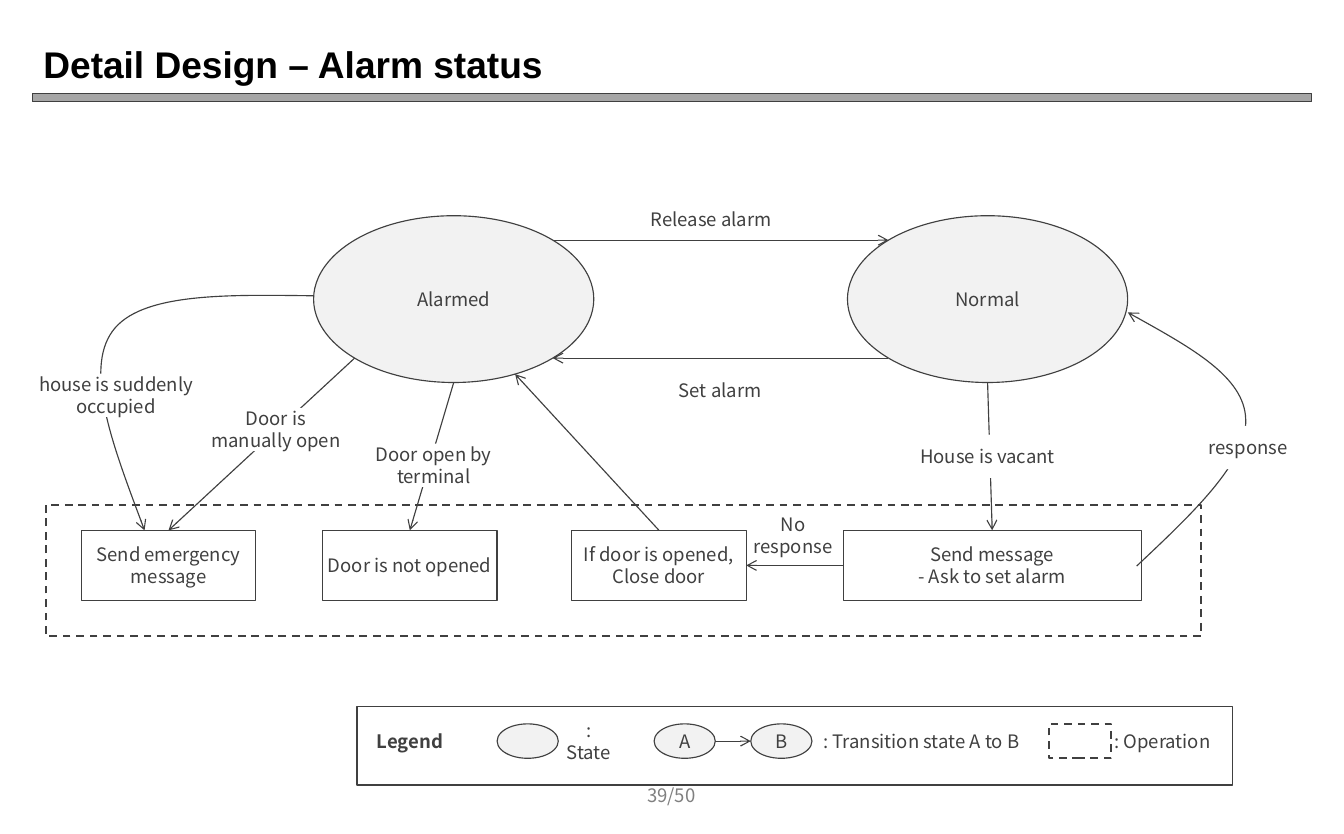
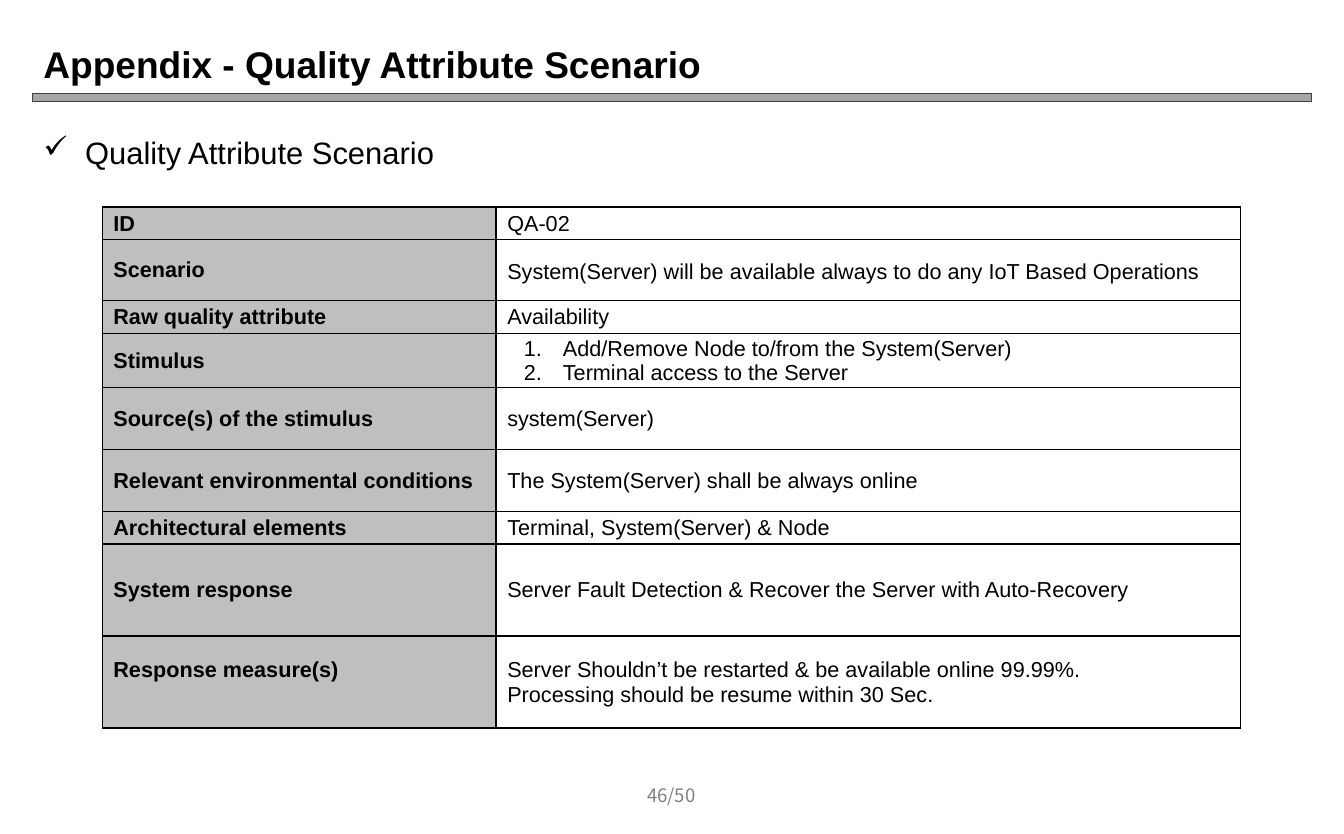
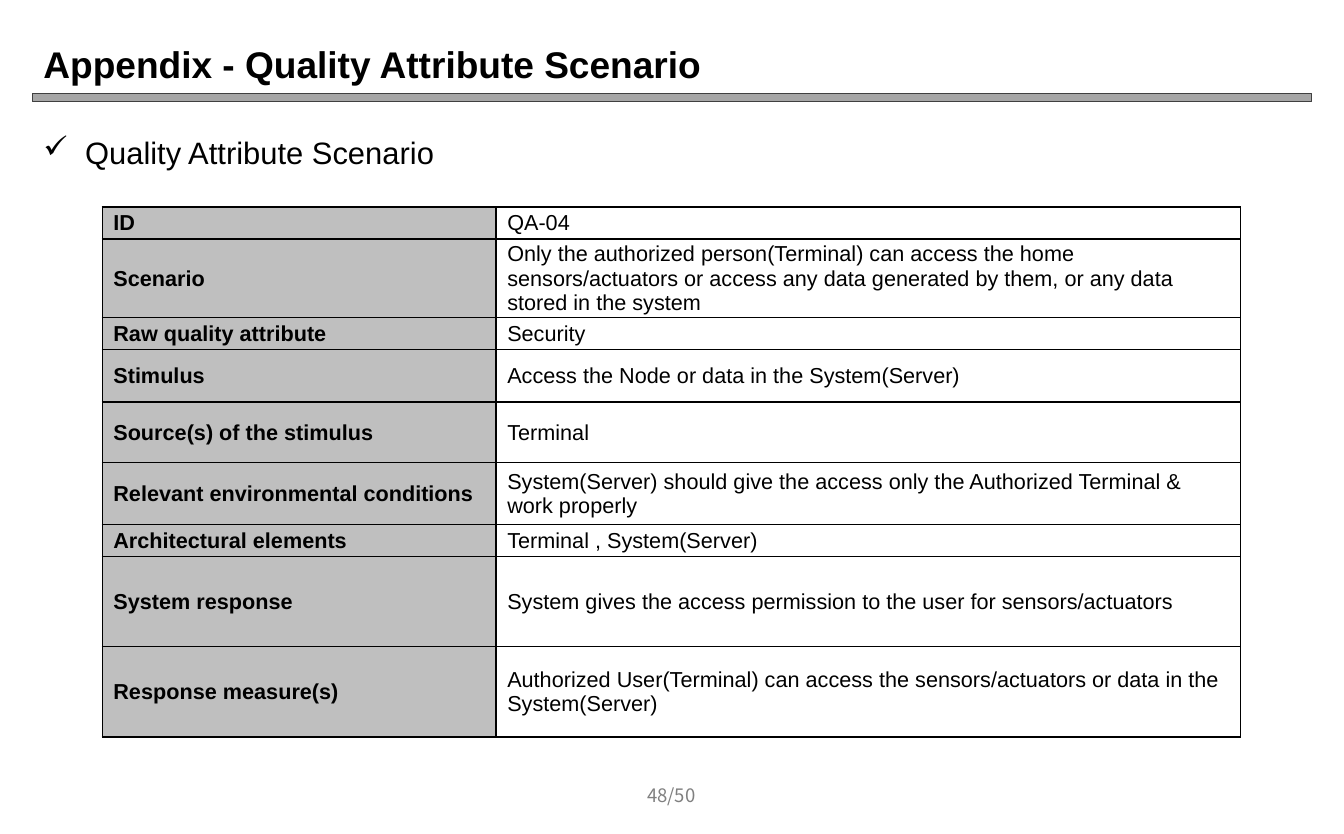
import math
from dataclasses import dataclass
from typing import NamedTuple, Optional

import lxml.etree
import pptx
import pptx.dml.color
import pptx.enum.dml
import pptx.enum.shapes
import pptx.enum.text
import pptx.oxml.ns
import pptx.util

Pt = pptx.util.Pt
qn = pptx.oxml.ns.qn
SHAPE = pptx.enum.shapes.MSO_SHAPE
ALIGN = pptx.enum.text.PP_ALIGN
ANCHOR = pptx.enum.text.MSO_ANCHOR
TOP, LEFT, RIGHT = 0, 1, 3  # connection sites of a rectangle


# Theme
@dataclass(frozen=True)
class Theme:
    heading_font: str = "Arial"
    diagram_font: str = "Noto Sans CJK KR"
    black: str = "000000"
    ink: str = "404040"
    page_gray: str = "808080"
    band: str = "A6A6A6"
    header_cell: str = "BFBFBF"
    state: str = "F2F2F2"
    white: str = "FFFFFF"
    title_size: float = 24
    body_size: float = 20
    table_size: float = 14
    diagram_size: float = 12
    diagram_leading: float = 14.2
    thin: float = 0.75
    dashed: float = 1.25


THEME = Theme()


class Box(NamedTuple):
    left: float
    top: float
    width: float
    height: float

    def emu(self) -> list:
        return [Pt(value) for value in self]

    def ellipse_point(self, degrees: float) -> tuple:
        """Point on the inscribed ellipse, clockwise from the right."""
        angle = math.radians(degrees)
        return (self.left + self.width / 2 * (1 + math.cos(angle)),
                self.top + self.height / 2 * (1 + math.sin(angle)))


class Label(NamedTuple):
    box: Box
    lines: list
    bold: bool = False


class Bullet(NamedTuple):
    tag: str
    attributes: dict
    indent: float
    hanging: float


class Cell(NamedTuple):
    lines: list
    bullet: Optional[Bullet] = None
    spacing: Optional[float] = None


class Scenario(NamedTuple):
    page: str
    heights: list
    values: list
    last_label_lift: float = 0


CHECK = Bullet("a:buChar", {"char": "✓"}, 27, 27)
NUMBERED = Bullet("a:buAutoNum", {"type": "arabicPeriod"}, 36, 25.2)


def color(value: str):
    return pptx.dml.color.RGBColor.from_string(value)


# Text
def write(frame, lines: list, *, size: float, font: str = THEME.heading_font,
          ink: str = THEME.black, bold: bool = False, align=ALIGN.LEFT,
          spacing=None, bullet: Optional[Bullet] = None) -> None:
    frame.word_wrap = True
    for index, line in enumerate(lines):
        paragraph = frame.paragraphs[0] if index == 0 else frame.add_paragraph()
        paragraph.alignment = align
        if spacing is not None:
            paragraph.line_spacing = spacing
        if bullet:
            properties = paragraph._p.get_or_add_pPr()
            properties.set("marL", str(Pt(bullet.indent)))
            properties.set("indent", str(-Pt(bullet.hanging)))
            lxml.etree.SubElement(properties, qn(bullet.tag), bullet.attributes)
        run = paragraph.add_run()
        run.text = line
        run.font.size = Pt(size)
        run.font.name = font
        run.font.bold = bold
        run.font.color.rgb = color(ink)


def add_text(slide, box: Box, lines: list, *, anchor=ANCHOR.MIDDLE, **text_format) -> None:
    shape = slide.shapes.add_textbox(*box.emu())
    shape.text_frame.vertical_anchor = anchor
    write(shape.text_frame, lines, **text_format)


# Shapes and lines
def add_figure(slide, kind, box: Box, lines: Optional[list] = None, *,
               fill: str = THEME.white, outline: Optional[float] = THEME.thin,
               dash: bool = False, bold: bool = False):
    shape = slide.shapes.add_shape(kind, *box.emu())
    shape.shadow.inherit = False
    shape.fill.solid()
    shape.fill.fore_color.rgb = color(fill)
    if outline is None:
        shape.line.fill.background()
    else:
        shape.line.color.rgb = color(THEME.ink)
        shape.line.width = Pt(outline)
    if dash:
        shape.line.dash_style = pptx.enum.dml.MSO_LINE.DASH
    if lines:
        frame = shape.text_frame
        frame.margin_left = frame.margin_right = Pt(2.8)
        frame.margin_top = frame.margin_bottom = Pt(2.8)
        frame.vertical_anchor = ANCHOR.MIDDLE
        write(frame, lines, size=THEME.diagram_size, font=THEME.diagram_font,
              ink=THEME.ink, bold=bold, align=ALIGN.CENTER,
              spacing=Pt(THEME.diagram_leading))
    return shape


def add_labels(slide, labels: list) -> None:
    for label in labels:
        add_figure(slide, SHAPE.RECTANGLE, label.box, label.lines,
                   outline=None, bold=label.bold)


def add_operation_frame(slide, box: Box) -> None:
    add_figure(slide, SHAPE.RECTANGLE, box, outline=THEME.dashed, dash=True)


def style_arrow(shape) -> None:
    shape.line.color.rgb = color(THEME.ink)
    shape.line.width = Pt(THEME.thin)
    outline = shape.element.spPr.find(qn("a:ln"))
    lxml.etree.SubElement(outline, qn("a:tailEnd"), {"type": "arrow"})


def add_arrow(slide, start: tuple, end: tuple, *, source=None, target=None) -> None:
    """source and target are (shape, site) pairs to join the ends to."""
    connector = slide.shapes.add_connector(
        pptx.enum.shapes.MSO_CONNECTOR.STRAIGHT, *[Pt(value) for value in start + end])
    if source:
        connector.begin_connect(*source)
    if target:
        connector.end_connect(*target)
    style_arrow(connector)
    lxml.etree.SubElement(connector.element.spPr, qn("a:effectLst"))


def add_curved_arrow(slide, points: list) -> None:
    """Start point, then two control points and an end point per curve."""
    corners = [(Pt(x), Pt(y)) for x, y in points]
    builder = slide.shapes.build_freeform(*corners[0])
    builder.add_line_segments(corners[1:], close=False)
    shape = builder.convert_to_shape()
    outline = next(shape.element.iter(qn("a:path")))
    segments = outline.findall(qn("a:lnTo"))
    for first in range(0, len(segments), 3):
        curve = lxml.etree.SubElement(outline, qn("a:cubicBezTo"))
        for segment in segments[first:first + 3]:
            curve.append(segment[0])
            outline.remove(segment)
    shape.shadow.inherit = False
    shape.fill.background()
    style_arrow(shape)


# Shared slide frame
def add_slide(presentation, title: str, page: str):
    slide = presentation.slides.add_slide(presentation.slide_layouts[6])
    add_figure(slide, SHAPE.FLOWCHART_PROCESS, Box(21, 60.5, 828, 5.5), fill=THEME.band)
    add_text(slide, Box(21, 21.6, 828, 39), [title], size=THEME.title_size, bold=True)
    add_text(slide, Box(395.3, 500.4, 78.5, 28.8), [page], size=THEME.diagram_size,
             font=THEME.diagram_font, ink=THEME.page_gray, align=ALIGN.CENTER)
    return slide


# Alarm state diagram
def label(left: float, top: float, width: float, *lines: str) -> Label:
    return Label(Box(left, top, width, 28), list(lines))


def build_alarm_slide(presentation) -> None:
    slide = add_slide(presentation, "Detail Design – Alarm status", "39/50")
    add_operation_frame(slide, Box(29.5, 326.9, 748, 85))
    add_labels(slide, [
        label(466.6, 332.6, 93.6, "No", "response"),
        label(406.8, 239, 118.8, "Set alarm"),
        label(401, 128.2, 118.8, "Release alarm"),
    ])

    # States and operations
    alarmed, normal = (Box(left, 139.7, 181.4, 108) for left in (203, 548.6))
    for box, name in ((alarmed, "Alarmed"), (normal, "Normal")):
        add_figure(slide, SHAPE.OVAL, box, [name], fill=THEME.state)
    emergency, not_opened, close_door, ask = (
        add_figure(slide, SHAPE.RECTANGLE, Box(left, 343.4, width, 45.4), lines)
        for left, width, lines in (
            (52.6, 113, ["Send emergency message"]),
            (208.8, 113, ["Door is not opened"]),
            (370.1, 113, ["If door is opened,", "Close door"]),
            (545.8, 193, ["Send message", "- Ask to set alarm"])))

    # Transitions
    add_arrow(slide, alarmed.ellipse_point(-45), normal.ellipse_point(-135))
    add_arrow(slide, normal.ellipse_point(135), alarmed.ellipse_point(45))
    for state, degrees, operation in ((normal, 90, ask), (alarmed, 90, not_opened),
                                      (alarmed, 135, emergency)):
        point = state.ellipse_point(degrees)
        add_arrow(slide, point, point, target=(operation, TOP))
    point = alarmed.ellipse_point(64)
    add_arrow(slide, point, point, source=(close_door, TOP))
    add_arrow(slide, point, point, source=(ask, LEFT), target=(close_door, RIGHT))
    add_curved_arrow(slide, [(735.8, 366.5), (771.8, 332.6), (807.8, 298.8), (806.4, 271.4),
                             (805.7, 244.1), (767.5, 223.2), (730.1, 202.3)])
    add_curved_arrow(slide, [(203, 191.5), (146.9, 190.8), (90.7, 189.4), (72.7, 214.6),
                             (54.7, 239.8), (74.2, 291.6), (93.6, 343.4)])
    add_labels(slide, [
        label(591.1, 281.5, 96.5, "House is vacant"),
        label(234, 287.3, 93.6, "Door open by terminal"),
        label(131.8, 264.2, 93.6, "Door is manually open"),
        label(18.7, 241.9, 113, "house is suddenly occupied"),
        label(772.6, 275.8, 70.6, "response"),
    ])
    add_legend(slide)


def add_legend(slide) -> None:
    top, height, oval_width = 468.7, 22.3, 39.6
    add_figure(slide, SHAPE.RECTANGLE, Box(231.1, 457.2, 566.6, 51.1))
    add_labels(slide, [
        Label(Box(236.9, top, 56.9, height), ["Legend"], bold=True),
        Label(Box(361.4, top, oval_width, height), [": State"]),
        Label(Box(525.6, top, 141.8, height), [": Transition state A to B"]),
        Label(Box(718, top, 69, height), [": Operation"]),
    ])
    sample, state_a, state_b = (Box(left, top, oval_width, height)
                                for left in (321.8, 423.4, 486))
    for box, lines in ((sample, None), (state_a, ["A"]), (state_b, ["B"])):
        add_figure(slide, SHAPE.OVAL, box, lines, fill=THEME.state)
    add_arrow(slide, state_a.ellipse_point(0), state_b.ellipse_point(180))
    add_operation_frame(slide, Box(679, top, 40.3, height))


# Quality attribute tables
ROW_LABELS = ["ID", "Scenario", "Raw quality attribute", "Stimulus",
              "Source(s) of the stimulus", "Relevant environmental conditions",
              "Architectural elements", "System response", "Response measure(s)"]

SCENARIOS = [
    Scenario("46/50", [21.1, 39.5, 21.3, 35, 40.1, 40.1, 21.3, 59.6, 59.6], [
        Cell(["QA-02"]),
        Cell(["System(Server) will be available always to do any IoT Based Operations"],
             spacing=1.15),
        Cell(["Availability"]),
        Cell(["Add/Remove Node to/from the System(Server)", "Terminal access to the Server"],
             bullet=NUMBERED),
        Cell(["system(Server)"]),
        Cell(["The System(Server) shall be always online"]),
        Cell(["Terminal, System(Server) & Node"]),
        Cell(["Server Fault Detection & Recover the Server with Auto-Recovery"]),
        Cell(["Server Shouldn’t be restarted & be available online 99.99%.",
              "Processing should be resume within 30 Sec."]),
    ], last_label_lift=16),
    Scenario("48/50", [20.7, 48.2, 20.7, 34, 39.1, 40.1, 20.7, 58.5, 58.5], [
        Cell(["QA-04"]),
        Cell(["Only the authorized person(Terminal) can access the home sensors/actuators or "
              "access any data generated by them, or any data stored in the system"]),
        Cell(["Security"]),
        Cell(["Access the Node or data in the System(Server)"]),
        Cell(["Terminal"]),
        Cell(["System(Server) should give the access only the Authorized Terminal & "
              "work properly"]),
        Cell(["Terminal , System(Server)"]),
        Cell(["System gives the access permission to the user for sensors/actuators"]),
        Cell(["Authorized User(Terminal) can access the sensors/actuators or data in the "
              "System(Server)"]),
    ]),
]


def fill_cell(cell, content: Cell, *, header: bool) -> None:
    cell.margin_left = cell.margin_right = Pt(7.2)
    cell.margin_top, cell.margin_bottom = Pt(0.5), Pt(0)
    cell.vertical_anchor = ANCHOR.MIDDLE
    properties = cell._tc.get_or_add_tcPr()
    for side in ("a:lnL", "a:lnR", "a:lnT", "a:lnB"):
        border = lxml.etree.SubElement(properties, qn(side), {"w": str(Pt(1))})
        paint = lxml.etree.SubElement(border, qn("a:solidFill"))
        lxml.etree.SubElement(paint, qn("a:srgbClr"), {"val": THEME.black})
    if header:
        cell.fill.solid()
        cell.fill.fore_color.rgb = color(THEME.header_cell)
    else:
        cell.fill.background()
    write(cell.text_frame, content.lines, size=THEME.table_size, bold=header,
          spacing=content.spacing, bullet=content.bullet)


def build_scenario_slide(presentation, scenario: Scenario) -> None:
    slide = add_slide(presentation, "Appendix - Quality Attribute Scenario", scenario.page)
    add_text(slide, Box(21, 83, 828, 36), ["Quality Attribute Scenario"],
             size=THEME.body_size, bullet=CHECK, anchor=ANCHOR.TOP)
    widths = (255, 482)
    box = Box(66.2, 134, sum(widths), sum(scenario.heights))
    table = slide.shapes.add_table(len(ROW_LABELS), len(widths), *box.emu()).table
    table.first_row = table.horz_banding = False
    for column, width in zip(table.columns, widths):
        column.width = Pt(width)
    for index, (name, value) in enumerate(zip(ROW_LABELS, scenario.values)):
        table.rows[index].height = Pt(scenario.heights[index])
        fill_cell(table.cell(index, 0), Cell([name]), header=True)
        fill_cell(table.cell(index, 1), value, header=False)
    table.cell(len(ROW_LABELS) - 1, 0).margin_bottom = Pt(scenario.last_label_lift)


def main() -> None:
    presentation = pptx.Presentation()
    presentation.slide_width, presentation.slide_height = Pt(870), Pt(540)
    build_alarm_slide(presentation)
    for scenario in SCENARIOS:
        build_scenario_slide(presentation, scenario)
    presentation.save("out.pptx")


if __name__ == "__main__":
    main()
